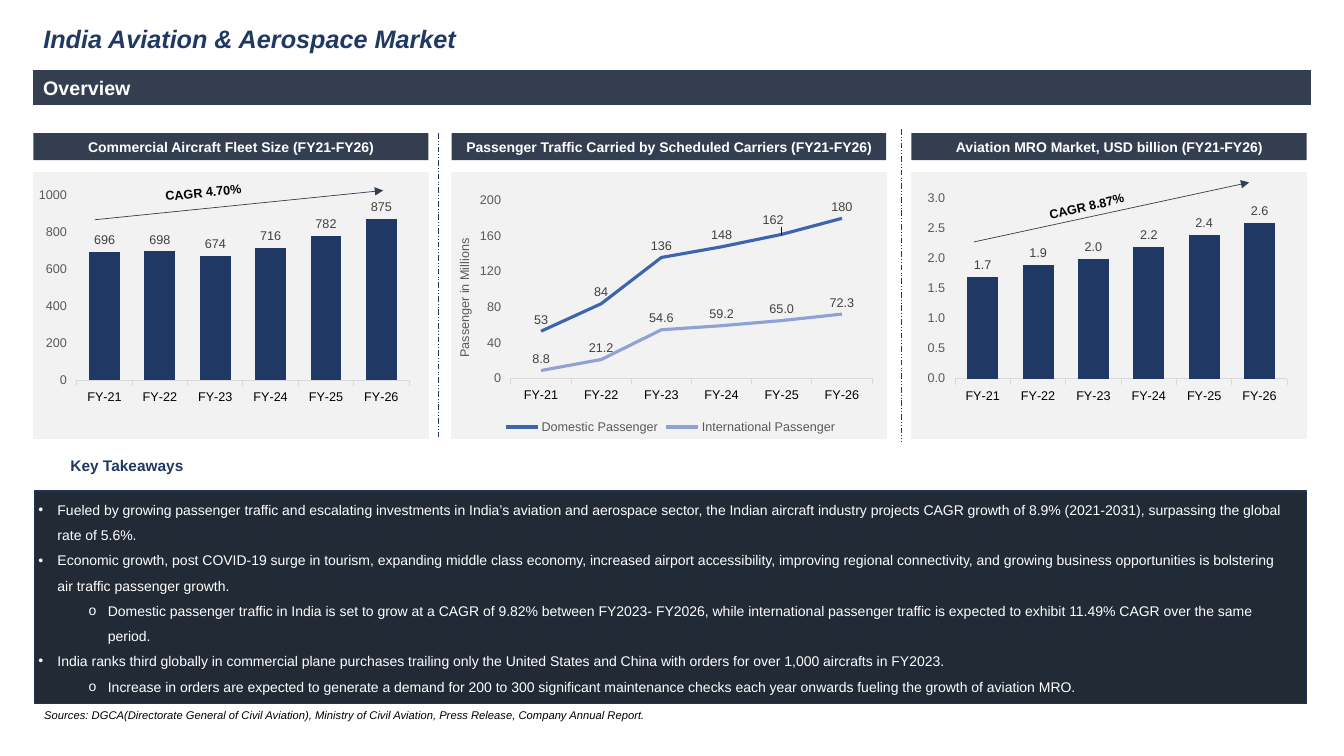
from lxml import etree
from pptx import Presentation, util as u
from pptx.chart import data
from pptx.dml.color import RGBColor
from pptx.enum import chart as ch, dml, shapes, text as tx
from pptx.oxml import ns

IN, PT = u.Inches, u.Pt
BARS, LINES = ch.XL_CHART_TYPE.COLUMN_CLUSTERED, ch.XL_CHART_TYPE.LINE
LEFT, MID = tx.PP_ALIGN.LEFT, tx.PP_ALIGN.CENTER


class Theme:
    font = "Arial"
    navy, slate, dark, edge = "203864", "333F50", "222A35", "1E3256"
    blue, pale, panel, rule = "3C65AE", "90A2D3", "F2F2F2", "D9D9D9"
    white, black, grey, label = "FFFFFF", "000000", "595959", "404040"
    title, head, lead, body, small, note = 18, 14, 11, 10, 9, 8


T = Theme


def rgb(code):
    return RGBColor.from_string(code)


def style(font, size, color, bold=False, italic=False):
    font.name, font.size = T.font, PT(size)
    font.bold, font.italic = bold, italic
    font.color.rgb = rgb(color)


def write(para, words, size=T.body, color=T.white, bold=False, italic=False, align=LEFT):
    run = para.add_run()
    run.text = words
    para.alignment = align
    style(run.font, size, color, bold, italic)


def node(up, tag, **attrs):
    return etree.SubElement(up, ns.qn(tag), attrs)


def layout(up, index, **parts):
    """Insert a manual chart layout under up."""
    outer = etree.Element(ns.qn("c:layout"))
    up.insert(index, outer)
    inner = node(outer, "c:manualLayout")
    for key, part in parts.items():
        node(inner, f"c:{key}", val=str(part))


class Page:
    def __init__(self):
        self.deck = Presentation()
        self.deck.slide_width, self.deck.slide_height = IN(13.33), IN(7.5)
        self.slide = self.deck.slides.add_slide(self.deck.slide_layouts[1])
        self.shapes = self.slide.shapes

    def hold(self, index, spot):
        """Move a placeholder to the front and return its text frame."""
        item = self.slide.placeholders[index]
        item.left, item.top, item.width, item.height = map(IN, spot)
        self.shapes._spTree.append(item._element)
        item.text_frame.auto_size = tx.MSO_AUTO_SIZE.NONE
        item.text_frame.vertical_anchor = tx.MSO_ANCHOR.TOP
        return item.text_frame

    def title(self, words, spot):
        write(self.hold(0, spot).paragraphs[0], words, T.title, T.navy, True, True)

    def list(self, rows, spot):
        frame = self.hold(1, spot)
        for i, (level, words) in enumerate(rows):
            para = frame.add_paragraph() if i else frame.paragraphs[0]
            para.level, para.line_spacing, para.space_before = level, 1.5, PT(0)
            props = para._p.get_or_add_pPr()
            props.set("marL", str(IN(0.19 + 0.5 * level)))
            props.set("indent", str(IN(-0.19)))
            node(props, "a:buFont", typeface=T.font)
            node(props, "a:buChar", char="•o"[level])
            write(para, words)

    def text(self, words, spot, turn=0, wrap=True, **fmt):
        item = self.shapes.add_textbox(*map(IN, spot))
        item.rotation = turn
        item.text_frame.word_wrap = wrap
        write(item.text_frame.paragraphs[0], words, **fmt)

    def box(self, spot, fill, edge=None, width=1, words="", **fmt):
        item = self.shapes.add_shape(shapes.MSO_SHAPE.RECTANGLE, *map(IN, spot))
        item.shadow.inherit = False
        item.fill.solid()
        item.fill.fore_color.rgb = rgb(fill)
        if edge:
            item.line.color.rgb, item.line.width = rgb(edge), PT(width)
        else:
            item.line.fill.background()
        if words:
            item.text_frame.word_wrap = True
            write(item.text_frame.paragraphs[0], words, bold=True, **fmt)

    def line(self, start, end, color, dash=None, arrow=False):
        item = self.shapes.add_connector(shapes.MSO_CONNECTOR.STRAIGHT, *map(IN, start + end))
        item.line.color.rgb, item.line.width = rgb(color), PT(0.5)
        if dash:
            item.line.dash_style = dash
        if arrow:
            node(item.line._get_or_add_ln(), "a:tailEnd", type="triangle")
        node(item._element.spPr, "a:effectLst")

    def chart(self, kind, spot, plot, rows, top, step, fmt):
        """Draw a chart; rows hold (name, values, colour, label format)."""
        source = data.CategoryChartData()
        source.categories = [f"FY-{year}" for year in range(21, 27)]
        for name, vals, _, _ in rows:
            source.add_series(name, vals)
        item = self.shapes.add_chart(kind, *map(IN, spot), source).chart
        style(item.font, T.small, T.black)
        item.has_title = item.has_legend = False
        area = item._chartSpace.chart.plotArea
        for old in area.findall(ns.qn("c:layout")):
            area.remove(old)
        layout(area, 0, layoutTarget="inner", xMode="edge", yMode="edge", **dict(zip("xywh", plot)))
        cat, val = item.category_axis, item.value_axis
        for axis, color in (cat, T.black), (val, T.grey):
            axis.has_major_gridlines = False
            axis.major_tick_mark = ch.XL_TICK_MARK.OUTSIDE
            style(axis.tick_labels.font, T.small, color)
        cat.format.line.color.rgb, cat.format.line.width = rgb(T.rule), PT(0.75)
        val.format.line.fill.background()
        val.minimum_scale, val.maximum_scale, val.major_unit = 0, top, step
        val.tick_labels.number_format = fmt
        val.tick_labels.number_format_is_linked = False
        item.plots[0].vary_by_categories = False
        place = ch.XL_LABEL_POSITION.ABOVE
        if kind == BARS:
            item.plots[0].gap_width = 79
            place = ch.XL_LABEL_POSITION.OUTSIDE_END
        for series, (_, _, color, mask) in zip(item.plots[0].series, rows):
            if kind == BARS:
                series.format.fill.solid()
                series.format.fill.fore_color.rgb = rgb(color)
            else:
                series.smooth = False
                series.marker.style = ch.XL_MARKER_STYLE.NONE
                series.format.line.color.rgb = rgb(color)
                series.format.line.width = PT(2.25)
            tags = series.data_labels
            tags.show_value, tags.position = True, place
            tags.number_format, tags.number_format_is_linked = mask, False
            style(tags.font, T.small, T.label)
        return item


def main():
    page = Page()
    page.title("India Aviation & Aerospace Market", (0.33, 0.18, 4.75, 0.4))
    page.box((0.33, 0.7, 12.67, 0.34), T.slate, T.slate, 0.75, "Overview", size=T.head)
    for left, width, words in (
            (0.33, 3.92, "Commercial Aircraft Fleet Size (FY21-FY26)"),
            (4.48, 4.31, "Passenger Traffic Carried by Scheduled Carriers (FY21-FY26)"),
            (9.04, 3.92, "Aviation MRO Market, USD billion (FY21-FY26)")):
        page.box((left, 1.71, width, 2.64), T.panel, T.panel)
        page.box((left, 1.32, width, 0.27), T.slate, words=words, align=MID)
    for x, top, end in (4.35, 1.32, 4.35), (8.94, 1.28, 4.39):
        page.line((x, top), (x, end), T.navy, dml.MSO_LINE.DASH_DOT_DOT)

    for spot, vals, top, step, fmt in (
            ((0.37, 1.62, 3.74, 2.73), (696, 698, 674, 716, 782, 875), 1000, 200, "0"),
            ((9.08, 1.66, 3.74, 2.66), (1.7, 1.9, 2, 2.2, 2.4, 2.6), 3, 0.5, "0.0")):
        page.chart(BARS, spot, (0.105, 0.117, 0.881, 0.672),
                   [("Series 1", vals, T.navy, fmt)], top, step, fmt)
    flow = page.chart(
        LINES, (4.5, 1.9, 4.3, 2.45), (0.132, 0.037, 0.833, 0.72),
        [("Domestic Passenger", (53, 84, 136, 148, 162, 180), T.blue, "0"),
         ("International Passenger", (8.8, 21.2, 54.6, 59.2, 65, 72.3), T.pale, "0.0")],
        200, 40, "0")
    tag = flow.plots[0].series[0].points[4].data_label
    style(tag.font, T.small, T.label)
    tag.position = ch.XL_LABEL_POSITION.ABOVE
    layout(tag._dLbl, 1, x=-0.02, y=-0.01)
    flow.has_legend = True
    flow.legend.position = ch.XL_LEGEND_POSITION.BOTTOM
    flow.legend.include_in_layout = False
    style(flow.legend.font, T.small, T.grey)
    name = flow.value_axis.axis_title.text_frame.paragraphs[0]
    write(name, "Passenger in Millions", T.small, T.grey, align=MID)

    for start, end, words, spot, turn in (
            ((0.94, 2.18), (3.8, 1.89), "CAGR 4.70%", (1.54, 1.78, 0.99, 0.25), 354.4),
            ((9.66, 2.4), (12.39, 1.81), "CAGR 8.87%", (10.3, 1.92, 0.96, 0.25), 346.9)):
        page.line(start, end, T.slate, arrow=True)
        page.text(words, spot, turn, False, size=T.small, color=T.black, bold=True)

    page.text("Key Takeaways", (0.6, 4.48, 2.82, 0.29), size=T.lead, color=T.navy, bold=True)
    page.box((0.34, 4.87, 12.62, 2.11), T.dark, T.edge)
    page.list((
        (0, "Fueled by growing passenger traffic and escalating investments in India’s aviation and aerospace sector, the Indian aircraft industry projects CAGR growth of 8.9% (2021-2031), surpassing the global rate of 5.6%."),
        (0, "Economic growth, post COVID-19 surge in tourism, expanding middle class economy, increased airport accessibility, improving regional connectivity, and growing business opportunities is bolstering air traffic passenger growth."),
        (1, "Domestic passenger traffic in India is set to grow at a CAGR of 9.82% between FY2023- FY2026, while international passenger traffic is expected to exhibit 11.49% CAGR over the same period."),
        (0, "India ranks third globally in commercial plane purchases trailing only the United States and China with orders for over 1,000 aircrafts in FY2023."),
        (1, "Increase in orders are expected to generate a demand for 200 to 300 significant maintenance checks each year onwards fueling the growth of aviation MRO.")),
        (0.28, 4.84, 12.61, 2.34))
    page.text("Sources: DGCA(Directorate General of Civil Aviation), Ministry of Civil Aviation, Press Release, Company Annual Report.",
              (0.34, 6.98, 12.98, 0.24), size=T.note, color=T.black, italic=True)
    page.deck.save("out.pptx")


if __name__ == "__main__":
    main()
